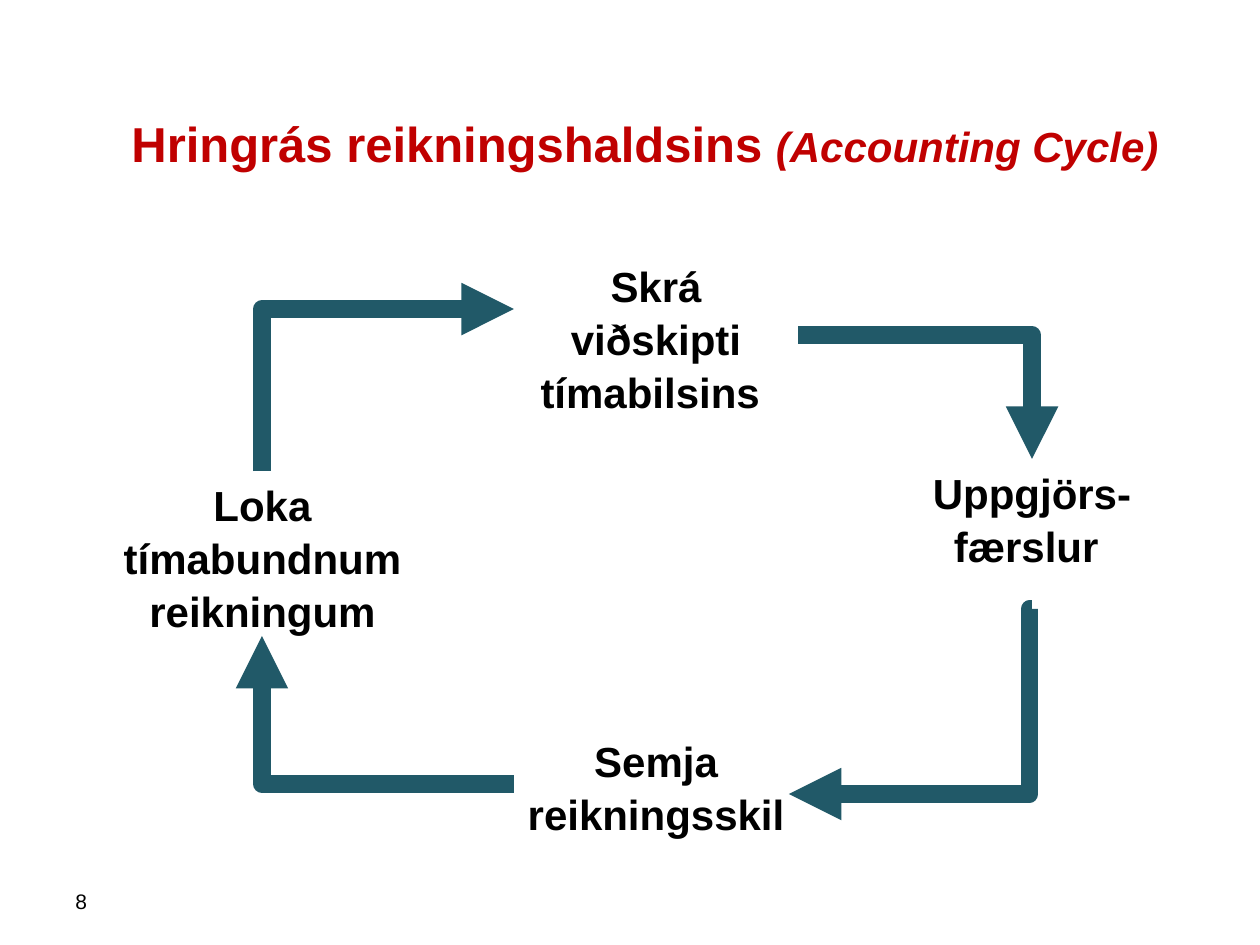
from dataclasses import dataclass

from lxml.etree import SubElement
from pptx import Presentation
from pptx.dml.color import RGBColor
from pptx.enum.shapes import MSO_CONNECTOR
from pptx.enum.text import MSO_ANCHOR, PP_ALIGN
from pptx.oxml.ns import qn
from pptx.util import Emu, Pt


@dataclass(frozen=True)
class Theme:
    """Colours, font and type sizes of the slide."""

    font: str = "Arial"
    title_color: str = "C00000"
    text_color: str = "000000"
    arrow_color: str = "215968"
    title_size: int = 28
    step_size: int = 24
    number_size: int = 12
    arrow_width: int = 10


THEME = Theme()
SLIDE_SIZE = (1260, 945)


def px(length):
    """Turn pixels at 126 to the inch into EMU."""
    return Emu(round(length * 914400 / 126))


def add_text(slide, box, runs, color=THEME.text_color, bold=True,
             align=PP_ALIGN.CENTER, anchor=MSO_ANCHOR.TOP, spacing=1.05):
    """Place one paragraph of (text, size, italic) runs in a box."""
    shape = slide.shapes.add_textbox(*map(px, box))
    frame = shape.text_frame
    frame.word_wrap = True
    frame.vertical_anchor = anchor
    paragraph = frame.paragraphs[0]
    paragraph.alignment = align
    paragraph.line_spacing = spacing
    for text, size, italic in runs:
        run = paragraph.add_run()
        run.text = text
        run.font.name = THEME.font
        run.font.size = Pt(size)
        run.font.bold = bold
        run.font.italic = italic
        run.font.color.rgb = RGBColor.from_string(color)


def add_arrow(slide, start, end, vertical_first=False, bend=None):
    """Draw an elbow arrow with one corner, or with a middle leg at bend."""
    (x1, y1), (x2, y2) = start, end
    if vertical_first:
        center_x, center_y = (x1 + x2) / 2, (y1 + y2) / 2
        half_width, half_height = (y1 - y2) / 2, (x2 - x1) / 2
        x1, x2 = center_x - half_width, center_x + half_width
        y1, y2 = center_y - half_height, center_y + half_height
    connector = slide.shapes.add_connector(
        MSO_CONNECTOR.ELBOW, px(x1), px(y1), px(x2), px(y2))
    connector.line.color.rgb = RGBColor.from_string(THEME.arrow_color)
    connector.line.width = Pt(THEME.arrow_width)
    properties = connector._element.spPr
    if vertical_first:
        properties.find(qn("a:xfrm")).set("rot", str(270 * 60000))
    geometry = properties.find(qn("a:prstGeom"))
    if bend is None:
        geometry.set("prst", "bentConnector2")
    else:
        guide = SubElement(geometry.find(qn("a:avLst")), qn("a:gd"))
        guide.set("name", "adj1")
        guide.set("fmla", f"val {round(bend * 100000)}")
    SubElement(properties.find(qn("a:ln")), qn("a:tailEnd")).set("type", "triangle")
    SubElement(properties, qn("a:effectLst"))


def add_title(slide, box):
    """Place the title with its English term in italics."""
    add_text(slide, box,
             [("Hringrás reikningshaldsins ", THEME.title_size, False),
              ("(Accounting Cycle)", THEME.step_size, True)],
             color=THEME.title_color, anchor=MSO_ANCHOR.MIDDLE)


def add_cycle(slide, box):
    """Place the four steps of the cycle and the arrows between them."""
    left, top, width, height = box
    steps = [
        ("Skrá viðskipti tímabilsins ", (409, 0, 284, 164)),
        ("Uppgjörs-færslur ", (753, 207, 348, 113)),
        ("Semja reikningsskil", (409, 475, 284, 113)),
        ("Loka tímabundnum reikningum", (0, 219, 315, 164)),
    ]
    for text, (x, y, step_width, step_height) in steps:
        add_text(slide, (left + x, top + y, step_width, step_height),
                 [(text, THEME.step_size, False)])
    arrows = [
        ((693, 83), (927, 207), {}),
        ((927, 357), (684, 542), {"bend": 0.01}),
        ((409, 532), (157, 384), {}),
        ((157, 219), (409, 57), {"vertical_first": True}),
    ]
    for (x1, y1), (x2, y2), form in arrows:
        add_arrow(slide, (left + x1, top + y1), (left + x2, top + y2), **form)


def add_page_number(slide, box):
    """Place the page number at the foot of the slide."""
    add_text(slide, box, [("8", THEME.number_size, False)], bold=False,
             align=PP_ALIGN.LEFT, anchor=MSO_ANCHOR.MIDDLE, spacing=1.0)


def main():
    """Build the slide and save it."""
    presentation = Presentation()
    presentation.slide_width, presentation.slide_height = map(px, SLIDE_SIZE)
    slide = presentation.slides.add_slide(presentation.slide_layouts[6])
    add_page_number(slide, (63, 876, 294, 50))
    add_title(slide, (74, 88, 1142, 106))
    add_cycle(slide, (105, 252, 1101, 588))
    presentation.save("out.pptx")


if __name__ == "__main__":
    main()
